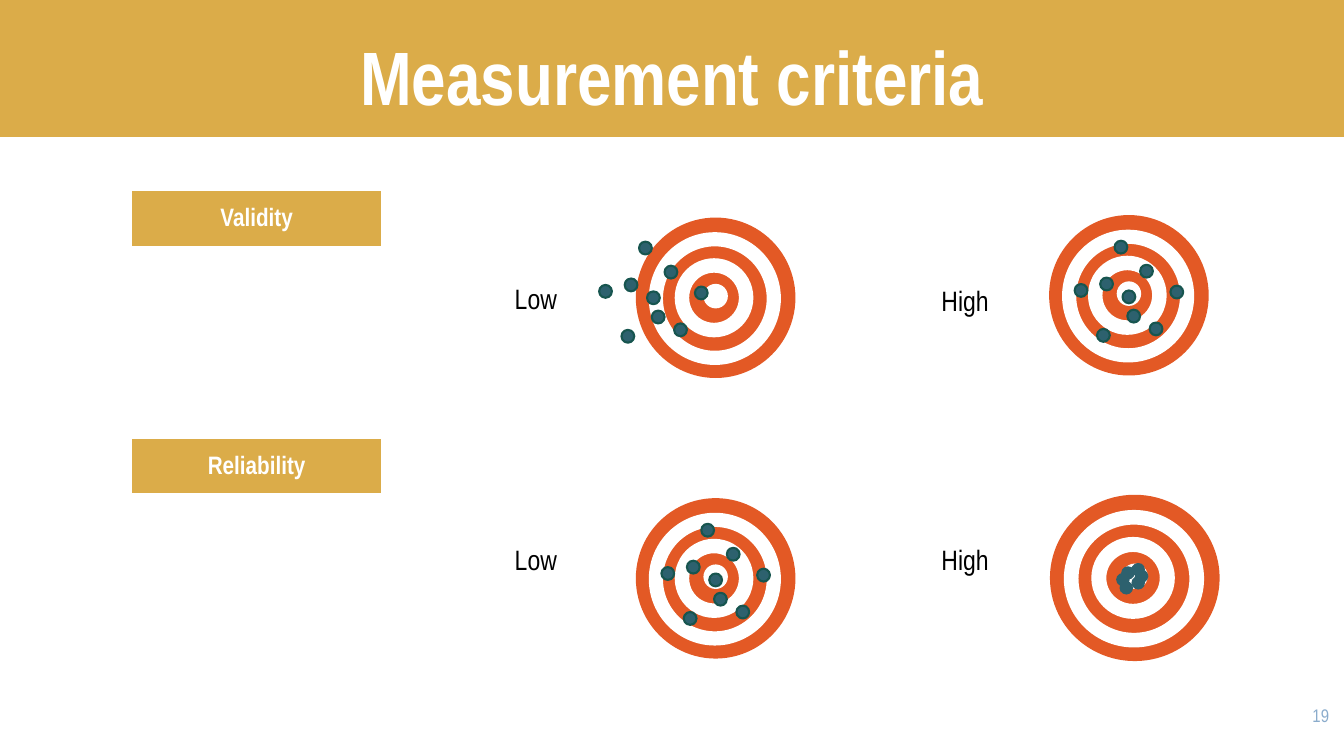
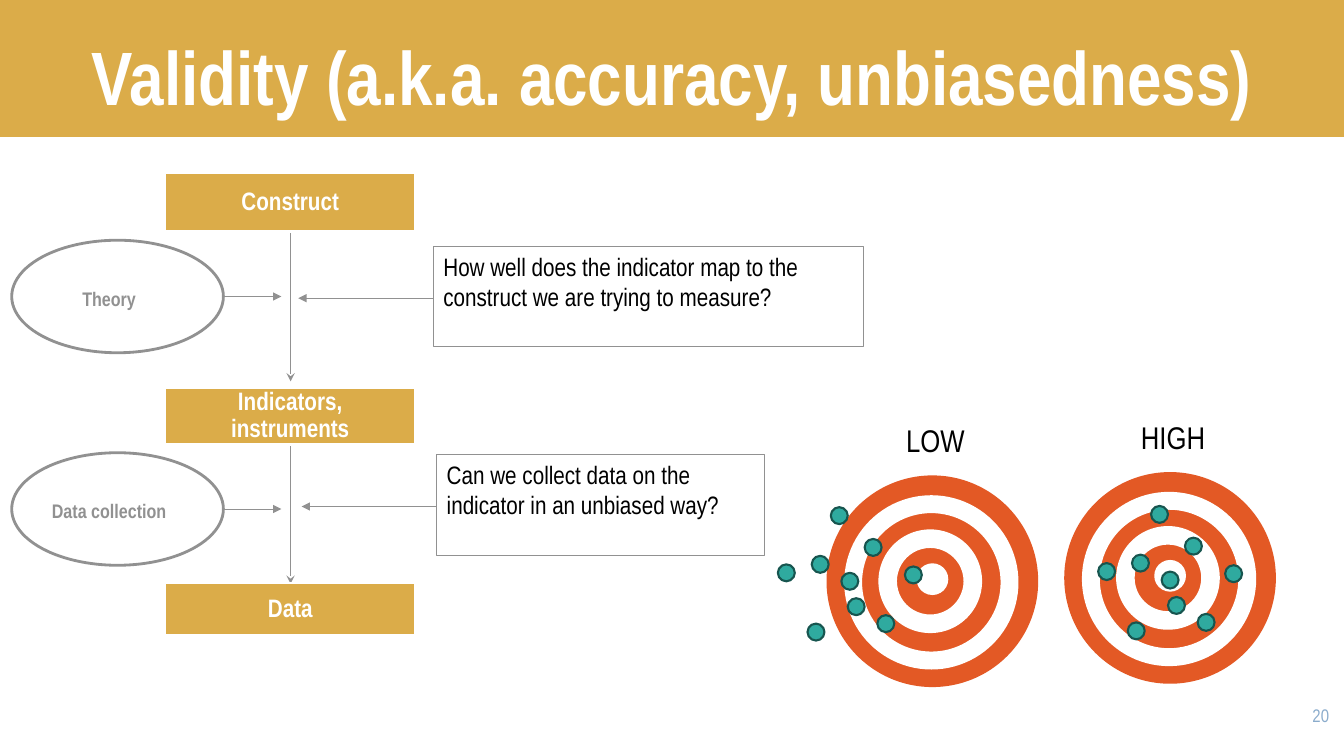
from collections import namedtuple
from dataclasses import dataclass

from lxml.etree import SubElement as Sub
from pptx import Presentation
from pptx.dml.color import RGBColor as Rgb
from pptx.enum.shapes import MSO_CONNECTOR as Link, MSO_SHAPE as Form
from pptx.enum.text import MSO_ANCHOR as Anchor, PP_ALIGN as Align
from pptx.oxml.ns import qn
from pptx.util import Inches, Pt

COLS, ROWS = 160, 90
CELL = Inches(7.5) / ROWS
Box = namedtuple("Box", "x y w h")


@dataclass(frozen=True)
class Theme:
    """Colours, font and type sizes of the deck."""
    font: str = "Arial Narrow"
    gold: str = "DBAC49"
    white: str = "FFFFFF"
    black: str = "000000"
    gray: str = "919191"
    pale: str = "8BACCC"
    ring: str = "E35925"
    slate: str = "2D616E"
    teal: str = "2FAA9F"
    edge: str = "17554F"
    title: int = 54
    caps: int = 28
    label: int = 20
    body: int = 18
    note: int = 14
    page: int = 13


T = Theme()
RINGS = (
    (Form.DONUT, 0.09, 0.1, 0.81, 0.088, 2),
    (Form.DONUT, 0.25, 0.26, 0.48, 0.162, 1.5),
    (Form.OVAL, 0.43, 0.42, 0.14, None, 1.5),
)
SPREAD = (
    (0.41, 0.16), (0.3, 0.71), (0.63, 0.67), (0.32, 0.39), (0.57, 0.31),
    (0.49, 0.59), (0.16, 0.43), (0.76, 0.44), (0.46, 0.47),
)
BIASED = tuple((x - 0.39, y - 0.01) for x, y in SPREAD)
TIGHT = ((0.48, 0.41), (0.39, 0.47), (0.48, 0.49), (0.42, 0.43), (0.41, 0.52), (0.5, 0.45))


def emu(cells):
    """Turn grid cells into slide lengths."""
    return [round(n * CELL) for n in cells]


def part(box, x, y, w, h):
    """Return the box that takes the given shares of another box."""
    return Box(box.x + x * box.w, box.y + y * box.h, w * box.w, h * box.h)


def shape(slide, form, box, fill=None, line=None, width=1.0):
    """Add a flat preset shape."""
    item = slide.shapes.add_shape(form, *emu(box))
    item.shadow.inherit = False
    if fill:
        item.fill.solid()
        item.fill.fore_color.rgb = Rgb.from_string(fill)
    else:
        item.fill.background()
    if line:
        item.line.color.rgb = Rgb.from_string(line)
        item.line.width = Pt(width)
    else:
        item.line.fill.background()
    return item


def write(item, text, size, color, bold=False, align=Align.LEFT,
          anchor=Anchor.TOP, pad=(0.1, 0.05)):
    """Set and format the text of a shape."""
    frame = item.text_frame
    frame.word_wrap = True
    frame.vertical_anchor = anchor
    frame.margin_left = frame.margin_right = Inches(pad[0])
    frame.margin_top = frame.margin_bottom = Inches(pad[1])
    frame.text = text
    para = frame.paragraphs[0]
    para.alignment = align
    font = para.runs[0].font
    font.name, font.size, font.bold = T.font, Pt(size), bold
    font.color.rgb = Rgb.from_string(color)
    return para


def words(slide, box, text, size, color, **style):
    """Add a text box."""
    return write(slide.shapes.add_textbox(*emu(box)), text, size, color, **style)


def arrow(slide, start, end, head="triangle"):
    """Add a thin gray arrow."""
    item = slide.shapes.add_connector(Link.STRAIGHT, *emu(start + end))
    item.line.color.rgb = Rgb.from_string(T.gray)
    item.line.width = Pt(0.75)
    Sub(item.line._get_or_add_ln(), qn("a:tailEnd"), type=head)
    Sub(item._element.spPr, qn("a:effectLst"))


def page(deck, title, number):
    """Start a slide with its band, title and page number."""
    slide = deck.slides.add_slide(deck.slide_layouts[6])
    shape(slide, Form.RECTANGLE, Box(0, 0, COLS, 16.3), T.gold)
    words(slide, Box(0, -1.3, COLS, 16.3), title, T.title, T.white,
          bold=True, align=Align.CENTER, anchor=Anchor.BOTTOM)
    words(slide, Box(149.8, 83.2, 9.6, 6.8), str(number), T.page, T.pale,
          align=Align.RIGHT)
    return slide


def tag(slide, box, text):
    """Add a gold heading block."""
    item = shape(slide, Form.RECTANGLE, box, T.gold, T.white, 2)
    para = write(item, text, T.body, T.white, bold=True, align=Align.CENTER,
                 anchor=Anchor.MIDDLE, pad=(0.14, 0.12))
    para.line_spacing = 0.9


def target(slide, box, hits, fill, line=None):
    """Add a ringed target with its hits, all as shares of the box."""
    shape(slide, Form.OVAL, box, T.ring)
    for form, x, y, size, hole, width in RINGS:
        ring = shape(slide, form, part(box, x, y, size, size), T.white, T.white, width)
        if hole:
            ring.adjustments[0] = hole
    for x, y in hits:
        shape(slide, Form.OVAL, part(box, x, y, 0.08, 0.08), fill, line, 1.5)


def cause(slide, box, text):
    """Add an outlined oval whose arrow points right."""
    shape(slide, Form.OVAL, box, None, T.gray, 2)
    words(slide, box._replace(x=box.x - 1, y=box.y + 0.2), text, T.note, T.gray,
          bold=True, align=Align.CENTER, anchor=Anchor.MIDDLE)
    right, mid = box.x + box.w, box.y + box.h / 2
    arrow(slide, (right, mid), (right + 6.9, mid))


def query(slide, box, text):
    """Add a framed question whose arrow points left."""
    item = shape(slide, Form.RECTANGLE, box, None, T.gray, 0.75)
    write(item, text, T.body, T.black)
    mid = box.y + 6.2
    arrow(slide, (box.x, mid), (box.x - 16.1, mid))


def grade(slide, box, text, hits):
    """Add a target with a small-caps label above it."""
    target(slide, box, hits, T.teal, T.edge)
    para = words(slide, Box(box.x + 5.2, box.y - 9.6, 15.5, 10.1), text, T.caps,
                 T.black, align=Align.CENTER, anchor=Anchor.MIDDLE)
    para.runs[0]._r.get_or_add_rPr().set("cap", "small")


def criteria(deck):
    """Build the slide that compares validity and reliability."""
    slide = page(deck, "Measurement criteria", 19)
    for text, y in (("Validity", 22.6), ("Reliability", 52.1)):
        tag(slide, Box(15.6, y, 29.9, 6.8), text)
    for text, x, y in (("Low", 60.1, 32.3), ("High", 110.9, 32.5),
                       ("Low", 60.1, 63.4), ("High", 110.9, 63.4)):
        words(slide, Box(x, y, 11.4, 6.5), text, T.label, T.black, pad=(0.1, 0.1))
    for box, hits, line in (
        (Box(75.7, 25.9, 19, 19.1), BIASED, T.edge),
        (Box(124.9, 25.6, 19, 19.1), SPREAD, T.edge),
        (Box(75.7, 59.3, 19, 19.1), SPREAD, T.edge),
        (Box(125, 58.9, 20.2, 19.8), TIGHT, None),
    ):
        target(slide, box, hits, T.slate, line)


def validity(deck):
    """Build the slide that leads from construct to data."""
    slide = page(deck, "Validity (a.k.a. accuracy, unbiasedness)", 20)
    for top, end in ((27.6, 45.4), (52.9, 69.5)):
        arrow(slide, (34.6, top), (34.6, end), "stealth")
    for text, y, h in (("Construct", 20.6, 7), ("Indicators, instruments", 46.1, 6.8),
                       ("Data", 69.4, 6.3)):
        tag(slide, Box(19.6, y, 29.9, h), text)
    for text, y in (("Theory", 28.6), ("Data collection", 53.9)):
        cause(slide, Box(1.4, y, 25.2, 13.4), text)
    query(slide, Box(51.6, 29.3, 51.2, 12),
          "How well does the indicator map to the construct we are trying to measure?")
    query(slide, Box(52, 54.1, 39, 12),
          "Can we collect data on the indicator in an unbiased way?")
    grade(slide, Box(126.7, 56.2, 25.2, 25.2), "high", SPREAD)
    grade(slide, Box(98.4, 56.6, 25.2, 25.2), "low", BIASED)


def main():
    """Build and save the deck."""
    deck = Presentation()
    deck.slide_width, deck.slide_height = emu((COLS, ROWS))
    criteria(deck)
    validity(deck)
    deck.save("out.pptx")


if __name__ == "__main__":
    main()
